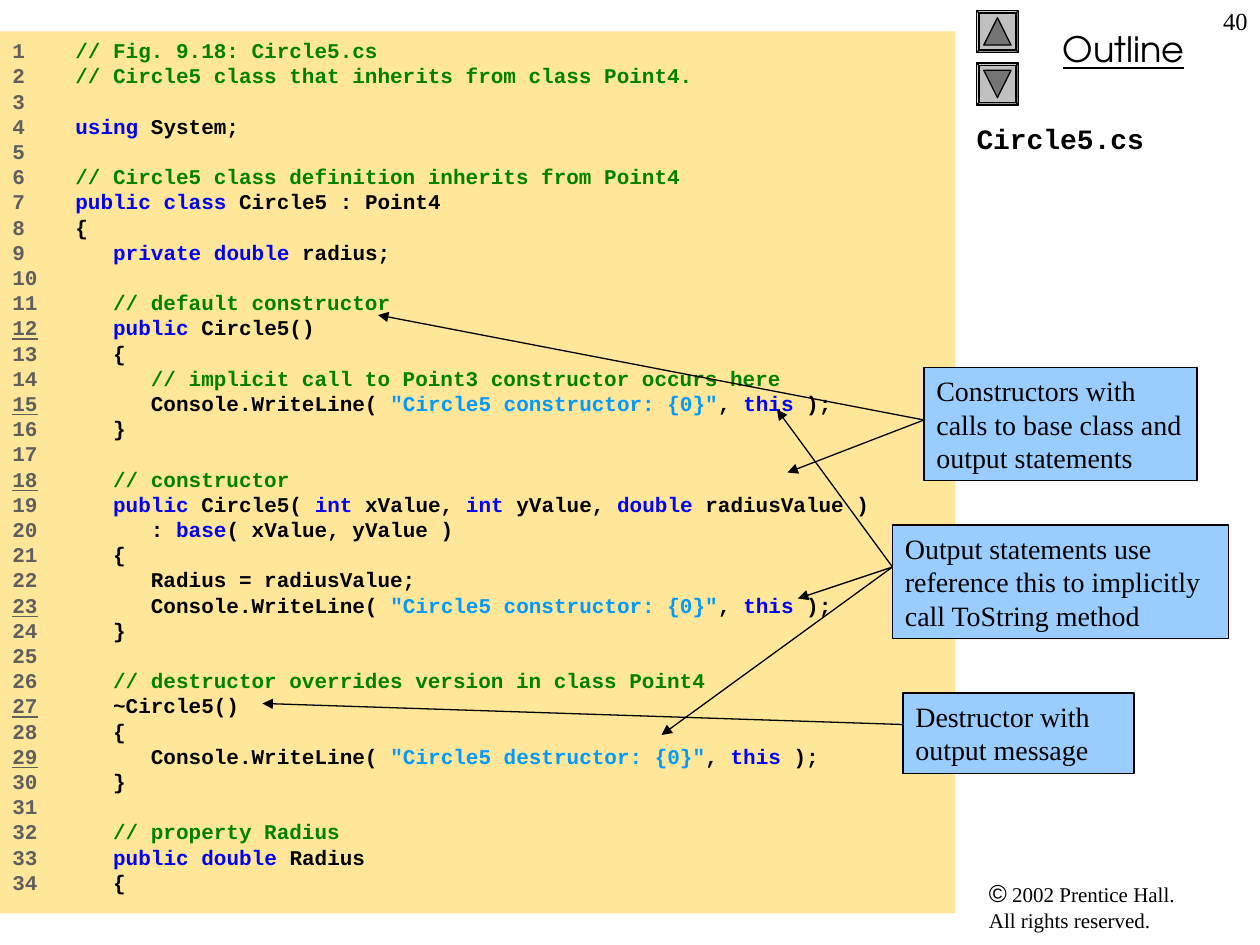
from itertools import groupby

from lxml import etree
from pptx import Presentation
from pptx.dml.color import RGBColor
from pptx.enum.shapes import MSO_CONNECTOR, MSO_SHAPE
from pptx.enum.text import MSO_ANCHOR, PP_ALIGN
from pptx.oxml.ns import qn
from pptx.util import Inches, Pt

COLS, ROWS = 120, 90
UNIT = Inches(10) // COLS
RECT, BEVEL = MSO_SHAPE.RECTANGLE, MSO_SHAPE.BEVEL
UP, DOWN = MSO_SHAPE.ISOSCELES_TRIANGLE, MSO_SHAPE.FLOWCHART_MERGE
STRAIGHT = MSO_CONNECTOR.STRAIGHT
LEFT, CENTER, RIGHT = PP_ALIGN.LEFT, PP_ALIGN.CENTER, PP_ALIGN.RIGHT
TOP = MSO_ANCHOR.TOP
SERIF, MONO = "Times New Roman", "Courier New"
HUES = {
    "ink": "000000",
    "panel": "FFE699",
    "note": "99CCFF",
    "button": "C0C0C0",
    "mark": "757575",
    "number": "5F5F5F",
    "comment": "008000",
    "key": "0000FF",
    "string": "0099FF",
}
KEYS = {"using", "public", "class", "private", "double", "int", "base", "this"}
LINKED = {12, 15, 18, 23, 27, 29}
CODE = """\
// Fig. 9.18: Circle5.cs
// Circle5 class that inherits from class Point4.

using System;

// Circle5 class definition inherits from Point4
public class Circle5 : Point4
{
   private double radius;

   // default constructor
   public Circle5()
   {
      // implicit call to Point3 constructor occurs here
      Console.WriteLine( "Circle5 constructor: {0}", this );
   }

   // constructor
   public Circle5( int xValue, int yValue, double radiusValue )
      : base( xValue, yValue )
   {
      Radius = radiusValue;
      Console.WriteLine( "Circle5 constructor: {0}", this );
   }

   // destructor overrides version in class Point4
   ~Circle5()
   {
      Console.WriteLine( "Circle5 destructor: {0}", this );
   }

   // property Radius
   public double Radius
   {"""
NOTES = [
    ("Constructors with calls to base class and output statements",
     (88, 35, 26, 10.8), 40, [(36, 30), (75, 45)]),
    ("Output statements use reference this to implicitly call ToString method",
     (85, 50, 32, 10.8), 54, [(74, 39), (76, 57), (63, 70)]),
    ("Destructor with output message",
     (86, 66, 22, 7.7), 69, [(25, 67)]),
]


def grid(*cells):
    return [round(cell * UNIT) for cell in cells]


def tint(name):
    return RGBColor.from_string(HUES[name])


def style(font, face, size, bold=None, line=None):
    font.name, font.size = face, Pt(size)
    font.bold, font.underline = bold, line
    font.color.rgb = tint("ink")


def add_run(para, text, hue=None):
    run = para.add_run()
    run.text = text
    if hue:
        run.font.color.rgb = tint(hue)
    return run


def add_box(slide, kind, place, fill, line=None):
    box = slide.shapes.add_shape(kind, *grid(*place))
    box.shadow.inherit = False
    box.fill.solid()
    box.fill.fore_color.rgb = tint(fill)
    if line:
        box.line.color.rgb = tint(line)
        box.line.width = Pt(0.75)
    else:
        box.line.fill.background()
    box.text_frame.word_wrap = True
    box.text_frame.vertical_anchor = TOP
    return box


def add_label(slide, place, text, face, size, align=LEFT, bold=None, line=None):
    frame = slide.shapes.add_textbox(*grid(*place)).text_frame
    frame.word_wrap = True
    para = frame.paragraphs[0]
    para.alignment = align
    add_run(para, text)
    style(para.font, face, size, bold, line)
    return frame


def add_arrow(slide, start, end):
    arrow = slide.shapes.add_connector(STRAIGHT, *grid(*start, *end))
    arrow.line.color.rgb = tint("ink")
    arrow.line.width = Pt(0.75)
    etree.SubElement(arrow.line._get_or_add_ln(), qn("a:tailEnd"), type="triangle")
    etree.SubElement(arrow._element.spPr, qn("a:effectLst"))


def add_note(slide, text, place, row, ends):
    for end in ends:
        add_arrow(slide, (place[0], row), end)
    para = add_box(slide, RECT, place, "note", "ink").text_frame.paragraphs[0]
    para.alignment = LEFT
    add_run(para, text)
    style(para.font, SERIF, 16)


def add_button(slide, col, row, kind):
    box = add_box(slide, BEVEL, (col, row, 4, 4), "button", "ink")
    box.adjustments[0] = 0.06
    add_box(slide, kind, (col + 0.7, row + 0.7, 2.6, 2.6), "mark", "ink")


def split_code(text):
    if text.lstrip().startswith("//"):
        yield text, "comment"
        return
    for index, part in enumerate(text.split('"')):
        if index % 2:
            yield f'"{part}"', "string"
            continue
        for _, group in groupby(part, str.isalpha):
            word = "".join(group)
            yield word, "key" if word in KEYS else "ink"


def add_code(slide, place):
    frame = add_box(slide, RECT, place, "panel").text_frame
    for number, text in enumerate(CODE.split("\n"), 1):
        para = frame.paragraphs[0] if number == 1 else frame.add_paragraph()
        para.alignment = LEFT
        para.line_spacing = Pt(14.4)
        style(para.font, MONO, 12, True)
        digits = str(number)
        run = add_run(para, digits, "number")
        run.font.underline = True if number in LINKED else None
        if text:
            add_run(para, " " * (5 - len(digits)), "number")
        for hue, group in groupby(split_code(text), lambda pair: pair[1]):
            add_run(para, "".join(word for word, _ in group), hue)


def add_rights(slide, place):
    para = add_label(slide, place, "©", SERIF, 12).paragraphs[0]
    style(para.runs[0].font, "Arial", 14)
    add_run(para, " 2002 Prentice Hall.")
    para.add_line_break()
    add_run(para, "All rights reserved.")


def main():
    deck = Presentation()
    deck.slide_width, deck.slide_height = grid(COLS, ROWS)
    slide = deck.slides.add_slide(deck.slide_layouts[6])
    add_rights(slide, (93, 83, 26, 6.5))
    add_label(slide, (94, 2, 26, 5.3), "Outline", "TeX Gyre Adventor", 20, CENTER, line=True)
    add_button(slide, 93, 1, UP)
    add_button(slide, 93, 6, DOWN)
    title = add_label(slide, (93, 11, 27, 72), "Circle5.cs", MONO, 16, bold=True)
    title.margin_left = 0
    add_code(slide, (0, 3, 91, 84))
    for note in NOTES:
        add_note(slide, *note)
    add_label(slide, (114, 0, 6, 6), "40", SERIF, 14, RIGHT)
    deck.save("out.pptx")


if __name__ == "__main__":
    main()
